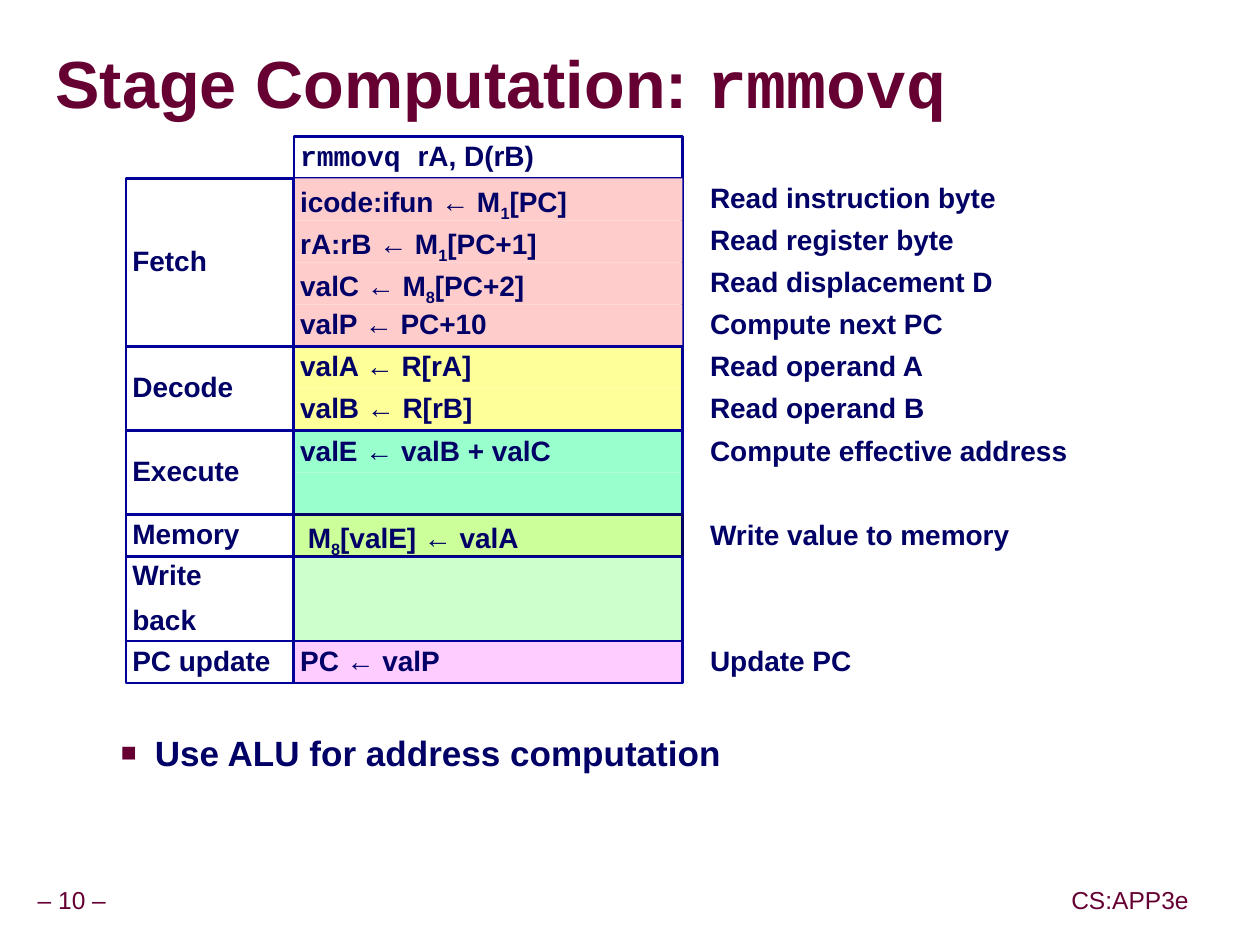
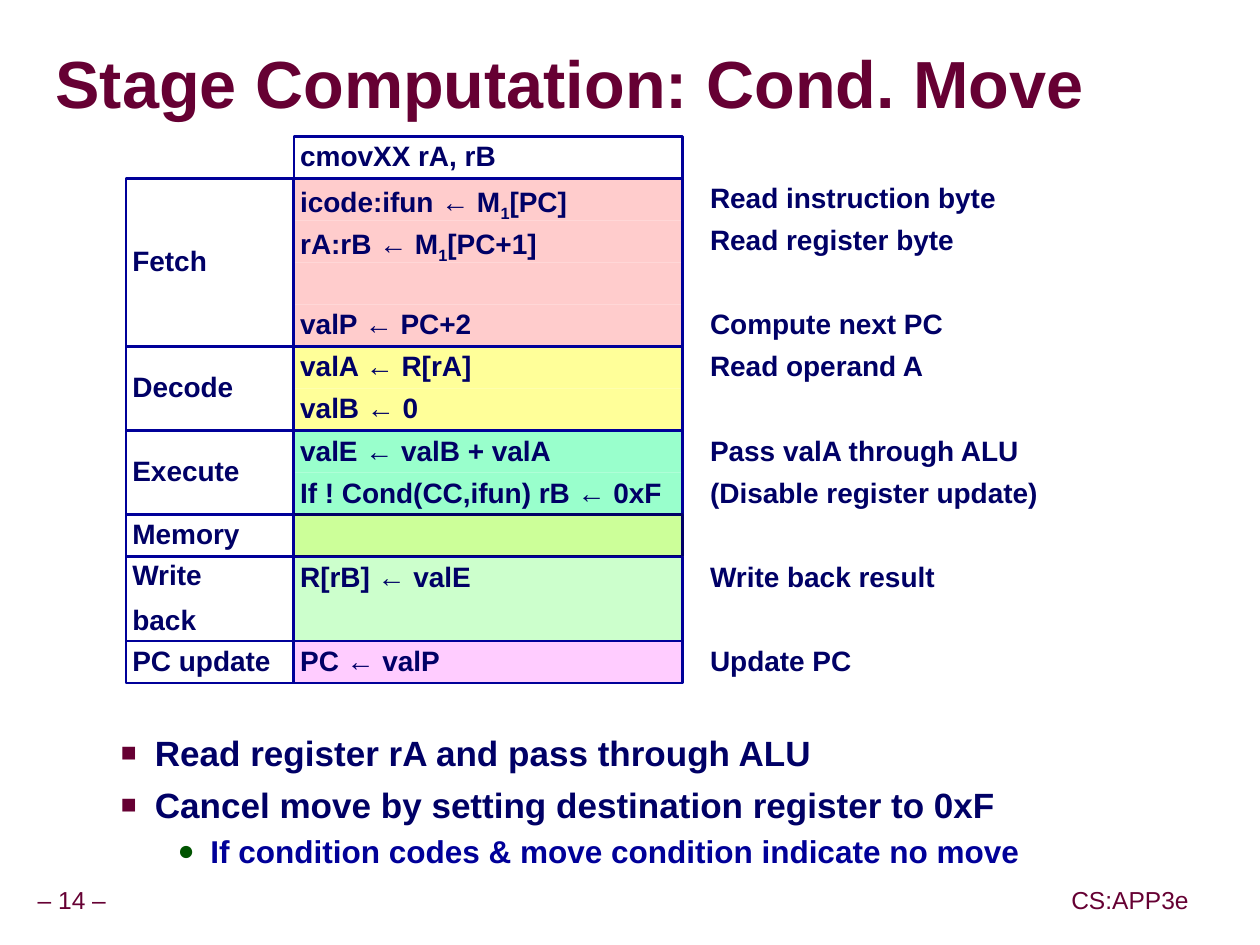
import pptx
import pptx.dml.color
import pptx.enum.shapes
import pptx.enum.text
import pptx.oxml
import pptx.oxml.ns
import pptx.util
from lxml import etree

Inches = pptx.util.Inches
Pt = pptx.util.Pt
ALIGN = pptx.enum.text.PP_ALIGN
ANCHOR = pptx.enum.text.MSO_ANCHOR
AUTO_SIZE = pptx.enum.text.MSO_AUTO_SIZE
RECTANGLE = pptx.enum.shapes.MSO_SHAPE.RECTANGLE

COLORS = {
    "title": "660033", "ink": "000066", "border": "000099", "dot": "005400",
    "shadow": "969696", "fetch": "FFCCCC", "decode": "FFFF99",
    "execute": "99FFCC", "memory": "CCFF99", "write": "CCFFCC", "pc": "FFCCFF",
}
SANS, MONO = "Arial", "Courier New"

# Stage grid, in inches
ROW = 1 / 3
GRID_TOP = 1.08
LABEL_LEFT, LABEL_WIDTH = 1, 1.33
STEP_LEFT, STEP_WIDTH = 2.33, 3.08
NOTE_LEFT = 5.58

# Label lines, number of rows, fill, border
STAGES = [
    (["Fetch"], 4, "fetch", "border"),
    (["Decode"], 2, "decode", "border"),
    (["Execute"], 2, "execute", "border"),
    (["Memory"], 1, "memory", "ink"),
    (["Write", "back"], 2, "write", "border"),
    (["PC update"], 1, "pc", "border"),
]

# Bullet character, its colour and size, indents, and the format of the text
BULLETS = {
    1: (("■", "title", 75, 0.81, -0.27), dict(size=20, before=5.5)),
    2: (("●", "dot", 90, 1.25, -0.26),
        dict(size=18, color="border", before=2, spacing=1.07)),
}


def rgb(name):
    return pptx.dml.color.RGBColor.from_string(COLORS[name])


def child(parent, tag, **attributes):
    element = etree.SubElement(parent, pptx.oxml.ns.qn(tag))
    for key, value in attributes.items():
        element.set(key, str(value))
    return element


def cast_shadow(run):
    """Give the letters of a coloured run a grey drop shadow."""
    fill = run.font._element.find(pptx.oxml.ns.qn("a:solidFill"))
    effects = pptx.oxml.parse_xml(
        f"<a:effectLst {pptx.oxml.ns.nsdecls('a')}/>")
    shadow = child(effects, "a:outerShdw", blurRad=38100, dist=38100,
                   dir=2700000, algn="tl")
    child(shadow, "a:srgbClr", val=COLORS["shadow"])
    fill.addnext(effects)


def set_bullet(paragraph, char, color, percent, margin, indent):
    properties = paragraph._p.get_or_add_pPr()
    properties.set("marL", str(Inches(margin)))
    properties.set("indent", str(Inches(indent)))
    child(child(properties, "a:buClr"), "a:srgbClr", val=COLORS[color])
    child(properties, "a:buSzPct", val=percent * 1000)
    child(properties, "a:buFont", typeface=SANS)
    child(properties, "a:buChar", char=char)


def write(frame, content, size=16, color="ink", bold=True, align=ALIGN.LEFT,
          spacing=None, before=0, bullet=None, shadow=False):
    """Append one paragraph; content is a string or (text, style) pairs.

    The style of a pair is "" for plain, "sub" for subscript or "mono".
    """
    paragraph = frame.paragraphs[0]
    if paragraph.runs:
        paragraph = frame.add_paragraph()
        paragraph.space_before = Pt(before)
    if bullet:
        set_bullet(paragraph, *bullet)
    paragraph.alignment = align
    if spacing:
        paragraph.line_spacing = spacing
    pairs = [(content, "")] if isinstance(content, str) else content
    for text, style in pairs:
        run = paragraph.add_run()
        run.text = text
        run.font.size = Pt(size)
        run.font.bold = bold
        run.font.color.rgb = rgb(color)
        run.font.name = MONO if style == "mono" else SANS
        if style == "sub":
            run.font._element.set("baseline", "-25000")
        if shadow:
            cast_shadow(run)


def memory(before, count, after):
    """A step that reads or writes memory, with the byte count lowered."""
    return [(before + "M", ""), (count, "sub"), (after, "")]


class StageDeck:
    def __init__(self):
        self.deck = pptx.Presentation()
        self.deck.slide_width = Inches(9.99)
        self.deck.slide_height = Inches(7.49)
        self.slide = None

    def add_slide(self, title, number):
        self.slide = self.deck.slides.add_slide(self.deck.slide_layouts[6])
        heading = self.text_box(0.44, 0.27, 9.52, 0.85, inset=(0, 0),
                                anchor=ANCHOR.MIDDLE)
        write(heading, title, size=38, color="title", spacing=0.87, shadow=True)
        for text, left, width in ((f"– {number} –", 0.24, 0.66),
                                  ("CS:APP3e", 8.44, 1.04)):
            footer = self.text_box(left, 6.99, width, 0.31, wrap=False,
                                   anchor=ANCHOR.MIDDLE)
            footer.auto_size = AUTO_SIZE.SHAPE_TO_FIT_TEXT
            write(footer, text, size=14, color="title", bold=False,
                  align=ALIGN.CENTER, spacing=0.9)

    def fit_frame(self, frame, inset=(0.05, 0.05), anchor=ANCHOR.TOP, wrap=True):
        frame.margin_left = frame.margin_right = Inches(inset[0])
        frame.margin_top = frame.margin_bottom = Inches(inset[1])
        frame.vertical_anchor = anchor
        frame.word_wrap = wrap
        return frame

    def text_box(self, left, top, width, height, **layout):
        box = self.slide.shapes.add_textbox(
            Inches(left), Inches(top), Inches(width), Inches(height))
        return self.fit_frame(box.text_frame, **layout)

    def cell(self, left, row, width, rows=1, fill=None, line=None, lines=(),
             anchor=ANCHOR.TOP):
        """Draw a rectangle on the stage grid; row 0 is the instruction."""
        box = self.slide.shapes.add_shape(
            RECTANGLE, Inches(left), Inches(GRID_TOP + row * ROW),
            Inches(width), Inches(rows * ROW))
        box.shadow.inherit = False
        if fill:
            box.fill.solid()
            box.fill.fore_color.rgb = rgb(fill)
        else:
            box.fill.background()
        if line:
            box.line.color.rgb = rgb(line)
            box.line.width = Pt(1.5)
        else:
            box.line.fill.background()
        frame = self.fit_frame(box.text_frame, anchor=anchor)
        for content in lines:
            write(frame, content, spacing=0.9, before=8.6)

    def note(self, row, text):
        frame = self.text_box(NOTE_LEFT, GRID_TOP + row * ROW, STEP_WIDTH, ROW)
        write(frame, text, spacing=0.9)

    def stage_grid(self, instruction, steps, frame_behind=()):
        """Draw the stages; steps maps a row to its computation and note."""
        self.cell(STEP_LEFT, 0, STEP_WIDTH, line="border", lines=[instruction])
        first = 1
        for label, rows, fill, border in STAGES:
            behind = label[0] in frame_behind
            outline = (STEP_LEFT, first, STEP_WIDTH, rows)
            if behind:
                self.cell(*outline, line=border)
            for row in range(first, first + rows):
                step, note = steps.get(row, (None, None))
                self.cell(STEP_LEFT, row, STEP_WIDTH, fill=fill,
                          line=border if rows == 1 else None,
                          lines=[step] if step else [])
                if note:
                    self.note(row, note)
            if rows > 1 and not behind:
                self.cell(*outline, line=border)
            self.cell(LABEL_LEFT, first, LABEL_WIDTH, rows, line="border",
                      lines=label, anchor=ANCHOR.MIDDLE)
            first += rows

    def bullets(self, items):
        frame = self.text_box(0.32, 5.75, 9.07, 1.28, inset=(0.1, 0.05))
        for level, text in items:
            bullet, style = BULLETS[level]
            write(frame, text, bullet=bullet, **style)


def main():
    shared_steps = {
        1: (memory("icode:ifun ← ", "1", "[PC]"), "Read instruction byte"),
        2: (memory("rA:rB ← ", "1", "[PC+1]"), "Read register byte"),
        5: ("valA ← R[rA]", "Read operand A"),
        12: ("PC ← valP", "Update PC"),
    }
    stages = StageDeck()

    stages.add_slide([("Stage Computation: ", ""), ("rmmovq", "mono")], 10)
    stages.stage_grid([("rmmovq ", "mono"), ("rA, D(rB)", "")], {
        **shared_steps,
        3: (memory("valC ← ", "8", "[PC+2]"), "Read displacement D"),
        4: ("valP ← PC+10", "Compute next PC"),
        6: ("valB ← R[rB]", "Read operand B"),
        7: ("valE ← valB + valC", "Compute effective address"),
        9: (memory(" ", "8", "[valE] ← valA"), "Write value to memory"),
    }, frame_behind=["Fetch"])
    stages.bullets([(1, "Use ALU for address computation")])

    stages.add_slide("Stage Computation: Cond. Move", 14)
    stages.stage_grid("cmovXX rA, rB", {
        **shared_steps,
        4: ("valP ← PC+2", "Compute next PC"),
        6: ("valB ← 0", None),
        7: ("valE ← valB + valA", "Pass valA through ALU"),
        8: ("If ! Cond(CC,ifun) rB ← 0xF", "(Disable register update)"),
        10: ("R[rB] ← valE", "Write back result"),
    })
    stages.bullets([
        (1, "Read register rA and pass through ALU"),
        (1, "Cancel move by setting destination register to 0xF"),
        (2, "If condition codes & move condition indicate no move"),
    ])

    stages.deck.save("out.pptx")


if __name__ == "__main__":
    main()
